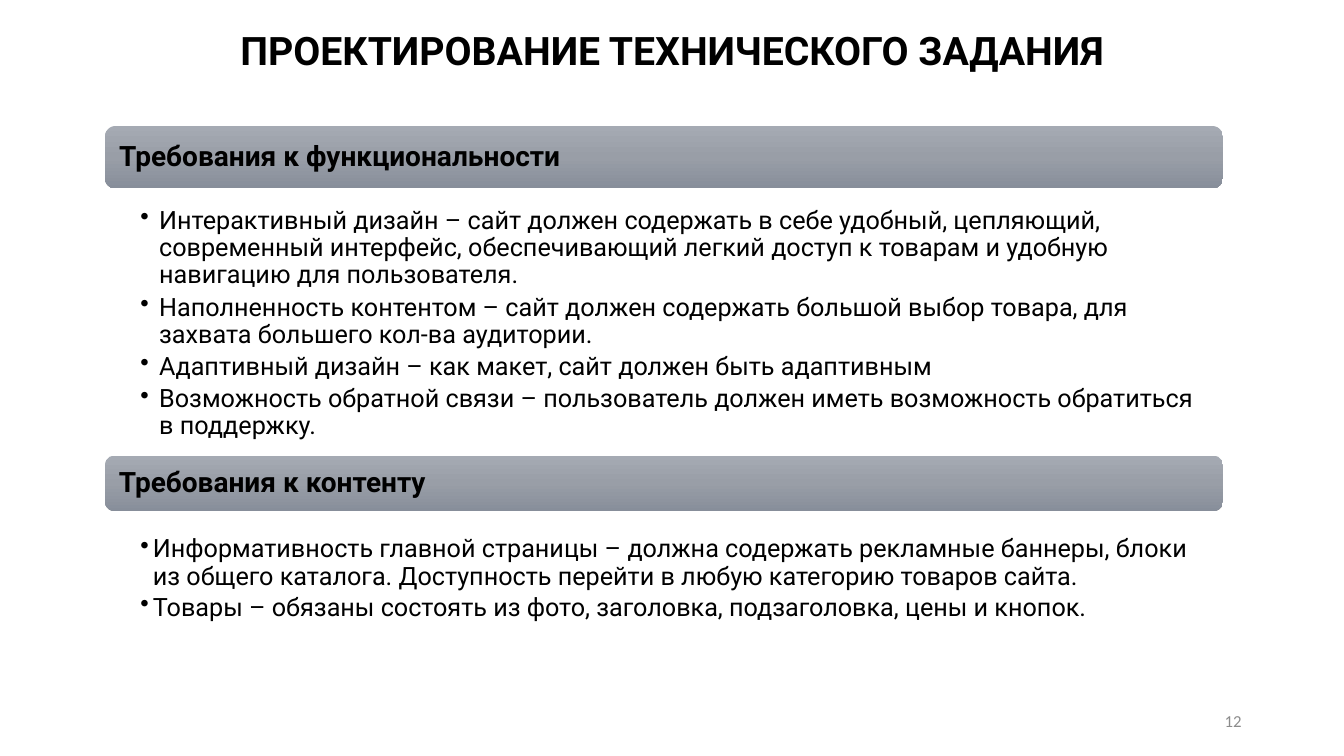
"""Build the slide on functional and content requirements."""
import copy

import pptx
import pptx.util
import pptx.dml.color
import pptx.enum.shapes
import pptx.enum.text
import pptx.oxml
import pptx.oxml.ns

Pt = pptx.util.Pt
RGBColor = pptx.dml.color.RGBColor
ALIGN = pptx.enum.text.PP_ALIGN
ANCHOR = pptx.enum.text.MSO_ANCHOR

BLACK = RGBColor(0x00, 0x00, 0x00)
GREY = RGBColor(0x8C, 0x8C, 0x8C)
BAR_STOPS = [
    (0, RGBColor(0xA5, 0xAA, 0xB3)),
    (0.5, RGBColor(0x99, 0x9E, 0xA7)),
    (1, RGBColor(0x87, 0x8E, 0x9A)),
]

TITLE = "ПРОЕКТИРОВАНИЕ ТЕХНИЧЕСКОГО ЗАДАНИЯ"
PAGE_NUMBER = "12"
SECTIONS = [
    {
        "heading": "Требования к функциональности",
        "bar": (90, 44.6),
        "body": (146.2, 195),
        "indent": 13.5,
        "gap": 3.6,
        "items": [
            "Интерактивный дизайн – сайт должен содержать в себе удобный, цепляющий, современный интерфейс, обеспечивающий легкий доступ к товарам и удобную навигацию для пользователя.",
            "Наполненность контентом – сайт должен содержать большой выбор товара, для захвата большего кол-ва аудитории.",
            "Адаптивный дизайн – как макет, сайт должен быть адаптивным",
            "Возможность обратной связи – пользователь должен иметь возможность обратиться в поддержку.",
        ],
    },
    {
        "heading": "Требования к контенту",
        "bar": (325.4, 39.6),
        "body": (380.9, 73.4),
        "indent": 9,
        "gap": 2.7,
        "items": [
            "Информативность главной страницы – должна содержать рекламные баннеры, блоки из общего каталога. Доступность перейти в любую категорию товаров сайта.",
            "Товары – обязаны состоять из фото, заголовка, подзаголовка, цены и кнопок.",
        ],
    },
]

PAGE_WIDTH, PAGE_HEIGHT = 960, 540
LEFT, WIDTH = 75, 798.5


def write(box, lines, size, color=BLACK, font="Roboto", bold=False,
          align=ALIGN.LEFT, anchor=ANCHOR.TOP, insets=(7.2, 3.6, 7.2, 3.6)):
    frame = box.text_frame
    frame.word_wrap = True
    frame.vertical_anchor = anchor
    frame.margin_left, frame.margin_top, frame.margin_right, frame.margin_bottom = map(Pt, insets)
    frame.text = "\n".join(lines)
    for para in frame.paragraphs:
        para.alignment = align
        for span in para.runs:
            span.font.name = font
            span.font.size = Pt(size)
            span.font.bold = bold
            span.font.color.rgb = color
    return frame.paragraphs


def add_text(page, left, top, width, height, lines, size, **style):
    box = page.shapes.add_textbox(Pt(left), Pt(top), Pt(width), Pt(height))
    return write(box, lines, size, **style)


def add_bar(page, top, height, heading):
    bar = page.shapes.add_shape(pptx.enum.shapes.MSO_SHAPE.ROUNDED_RECTANGLE,
                                Pt(LEFT), Pt(top), Pt(WIDTH), Pt(height))
    bar.shadow.inherit = False
    bar.line.fill.background()
    bar.fill.gradient()
    bar.fill.gradient_angle = 270
    stop_list = bar.element.spPr.find(".//" + pptx.oxml.ns.qn("a:gsLst"))
    stop_list.insert(1, copy.deepcopy(stop_list[0]))
    for stop, (position, color) in zip(bar.fill.gradient_stops, BAR_STOPS):
        stop.position = position
        stop.color.rgb = color
    heading_para, = write(bar, [heading], 20, bold=True, anchor=ANCHOR.MIDDLE,
                          insets=(8, 5.8, 8, 5.8))
    heading_para.line_spacing = 0.9


def add_bullets(page, top, height, items, indent, gap):
    paras = add_text(page, LEFT, top, WIDTH, height, items, 18, insets=(25.2, 2, 10, 2))
    for para in paras:
        para.line_spacing = 0.9
        para.space_after = Pt(gap)
        properties = para._p.get_or_add_pPr()
        properties.set("marL", str(Pt(indent)))
        properties.set("indent", str(-Pt(indent)))
        bullet = pptx.oxml.parse_xml(
            f'<a:buChar {pptx.oxml.ns.nsdecls("a")} char="•"/>')
        properties.append(bullet)


def main():
    deck = pptx.Presentation()
    deck.slide_width, deck.slide_height = Pt(PAGE_WIDTH), Pt(PAGE_HEIGHT)
    page = deck.slides.add_slide(deck.slide_layouts[6])
    add_text(page, 0, 15, PAGE_WIDTH, 41, [TITLE], 28, bold=True, align=ALIGN.CENTER)
    for section in SECTIONS:
        add_bar(page, *section["bar"], section["heading"])
        add_bullets(page, *section["body"], section["items"], section["indent"], section["gap"])
    add_text(page, 678, 500.5, 216, 28.8, [PAGE_NUMBER], 12, color=GREY,
             font="Calibri", align=ALIGN.RIGHT, anchor=ANCHOR.MIDDLE)
    deck.save("out.pptx")


if __name__ == "__main__":
    main()
